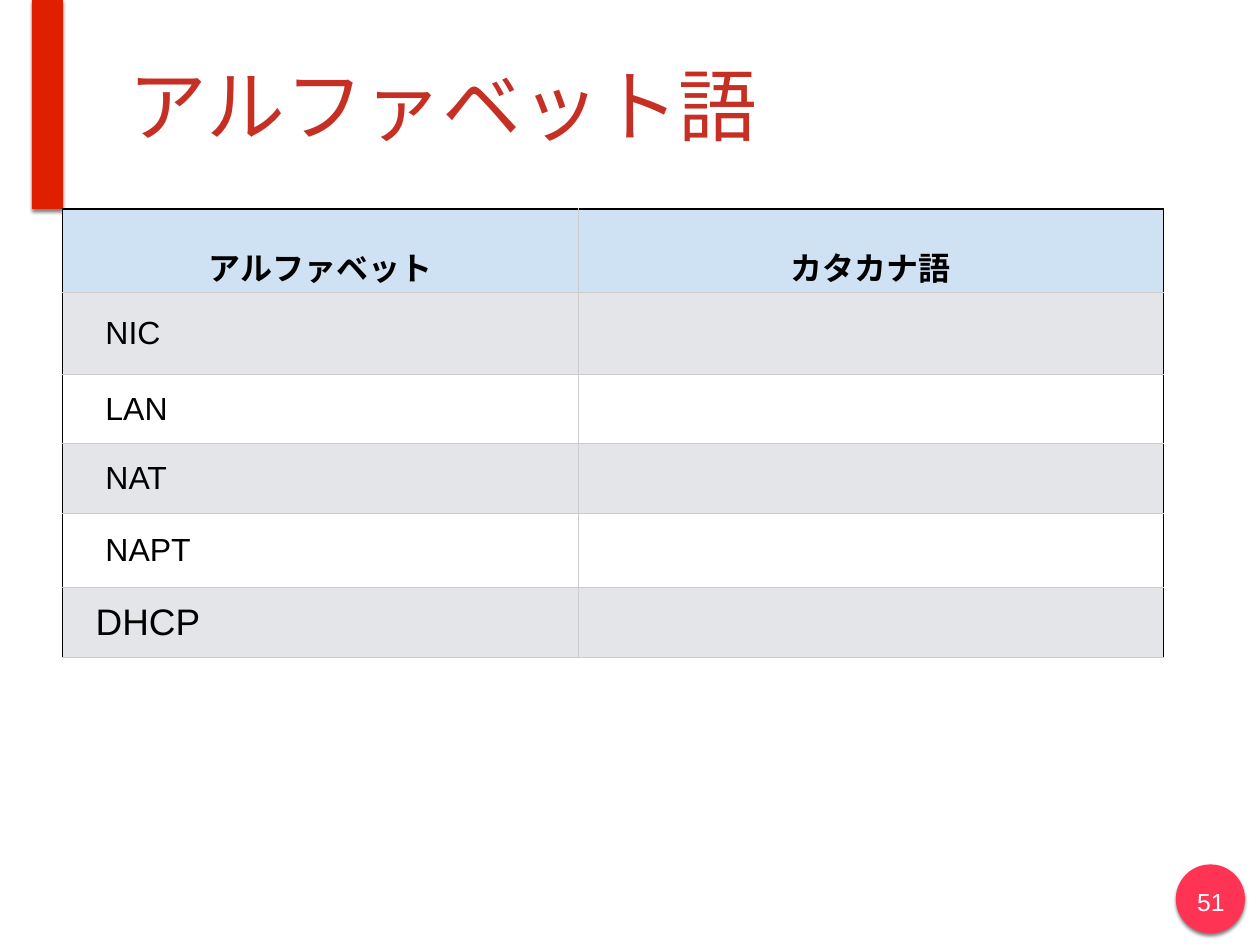
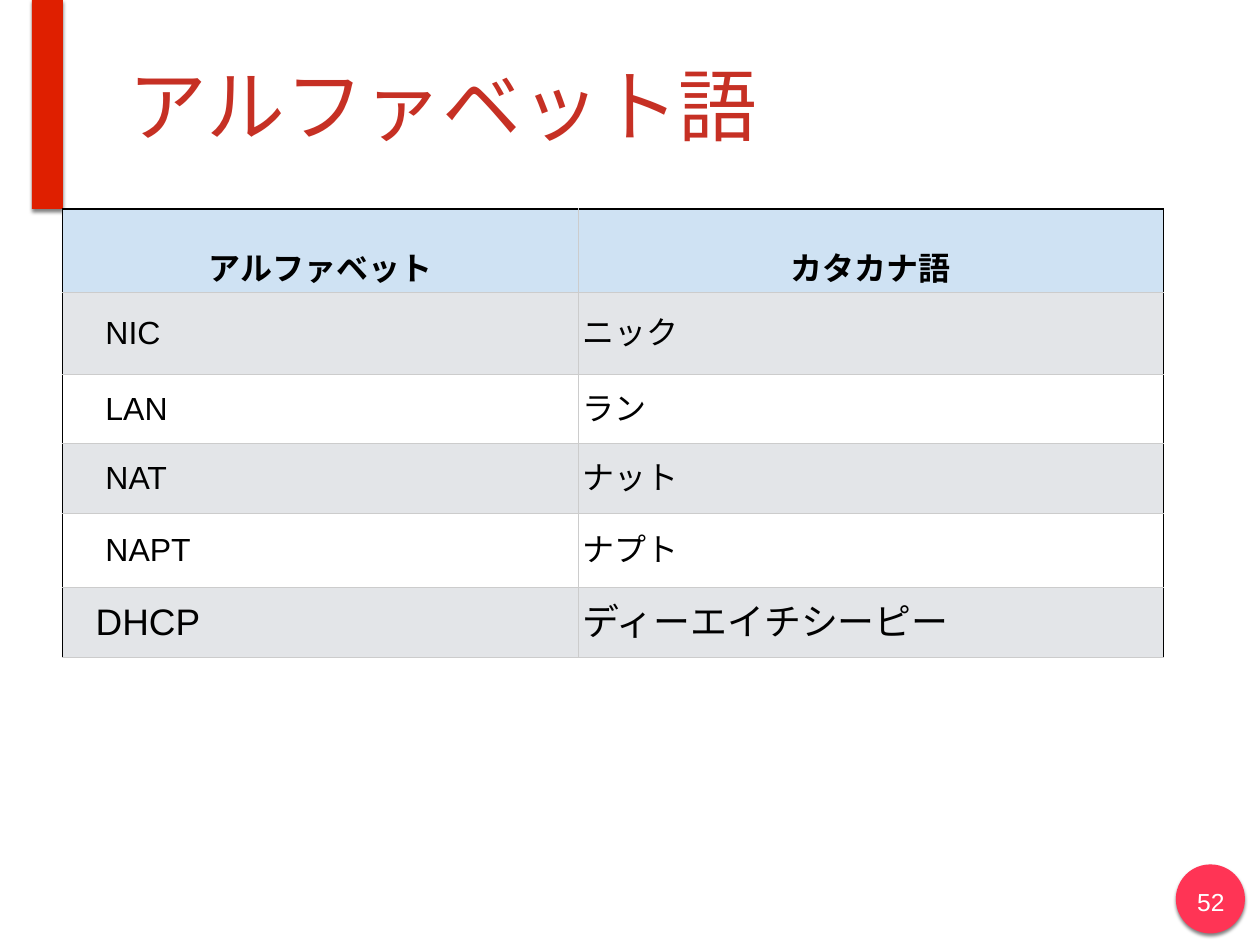
"""Build two vocabulary slides on network terms: a question and its answers."""
from typing import Any, NamedTuple

import lxml.etree
import pptx
import pptx.dml.color
import pptx.enum.lang
import pptx.enum.shapes
import pptx.enum.text
import pptx.oxml
import pptx.oxml.ns
import pptx.util

Inches = pptx.util.Inches
Pt = pptx.util.Pt
Shape = pptx.enum.shapes.MSO_SHAPE
Align = pptx.enum.text.PP_ALIGN
Anchor = pptx.enum.text.MSO_ANCHOR
AutoSize = pptx.enum.text.MSO_AUTO_SIZE
qn = pptx.oxml.ns.qn

FONT = "Arial"
RED, PINK, TITLE_RED = "DF1F00", "FF3455", "C63024"
BLACK, WHITE = "000000", "FFFFFF"
HEADER_FILL, BAND_FILL, RULE = "CFE2F3", "E3E5E8", "CCCCCC"

TITLE = "アルファベット語"
HEADERS = ("アルファベット", "カタカナ語")
COL_WIDTHS = (5.83, 6.6)
ROW_HEIGHTS = (0.71, 0.92, 0.78, 0.79, 0.84, 0.79)
CELL_MARGIN = 0.04


class Decoration(NamedTuple):
    """A filled shape that every slide shows."""
    shape: Any
    box: tuple[float, float, float, float]
    fill: str


class Term(NamedTuple):
    """An abbreviation, how it is read, and its text format."""
    name: str
    reading: str
    size: int = 26
    indent: float = 0.45


DECORATIONS = (
    Decoration(Shape.OVAL, (13.27, 9.76, 0.78, 0.78), PINK),
    Decoration(Shape.RECTANGLE, (0.36, 0, 0.35, 2.36), RED),
)
TERMS = (
    Term("NIC", "ニック"),
    Term("LAN", "ラン"),
    Term("NAT", "ナット"),
    Term("NAPT", "ナプト"),
    Term("DHCP", "ディーエイチシーピー", 30, 0.34),
)


def rgb(color: str) -> pptx.dml.color.RGBColor:
    """Turn a hex string into a colour."""
    return pptx.dml.color.RGBColor.from_string(color)


def set_attrs(target: Any, values: dict[str, Any]) -> None:
    """Set every attribute named in a dict."""
    for name, value in values.items():
        setattr(target, name, value)


def set_fill(target: Any, color: str) -> None:
    """Give a shape or cell a solid fill."""
    target.fill.solid()
    target.fill.fore_color.rgb = rgb(color)


def write(tf: Any, text: str, size: float, color: str, bold: bool = False,
          align: Any = Align.LEFT, spacing: float = 1.0) -> None:
    """Write one formatted paragraph into a text frame."""
    p = tf.paragraphs[0]
    set_attrs(p, {"alignment": align, "line_spacing": spacing})
    r = p.add_run()
    r.text = text
    set_attrs(r.font, {"size": Pt(size), "bold": bold, "name": FONT,
                       "language_id": pptx.enum.lang.MSO_LANGUAGE_ID.JAPANESE})
    r.font.color.rgb = rgb(color)
    latin = r._r.find(".//" + qn("a:latin"))
    ea = lxml.etree.Element(qn("a:ea"), typeface=FONT)
    latin.addnext(ea)


def set_frame(tf: Any, anchor: Any, auto_size: Any) -> None:
    """Give a text frame the common margins and wrapping."""
    sides = ("left", "right", "top", "bottom")
    set_attrs(tf, {f"margin_{side}": Inches(0.06) for side in sides})
    set_attrs(tf, {"word_wrap": True, "vertical_anchor": anchor,
                   "auto_size": auto_size})


def add_shadow(sp: Any) -> None:
    """Add a soft shadow below a shape."""
    sp.shadow.inherit = False
    effects = sp.element.spPr.find(qn("a:effectLst"))
    effects.append(pptx.oxml.parse_xml(
        f'<a:outerShdw {pptx.oxml.ns.nsdecls("a")} blurRad="{Pt(3)}" '
        f'dist="{Pt(2)}" dir="5400000" algn="ctr" rotWithShape="0">'
        f'<a:srgbClr val="{BLACK}"><a:alpha val="50000"/></a:srgbClr>'
        '</a:outerShdw>'))


def decorate(layout: Any, s: Any) -> None:
    """Draw the shared shapes and move them to the layout."""
    for item in DECORATIONS:
        sp = s.shapes.add_shape(item.shape, *map(Inches, item.box))
        set_fill(sp, item.fill)
        sp.line.fill.background()
        add_shadow(sp)
        layout.shapes.element.append(sp.element)


def set_borders(cell: Any, colors: dict[str, str]) -> None:
    """Draw the four borders of a cell."""
    tc_pr = cell._tc.get_or_add_tcPr()
    for i, (side, color) in enumerate(colors.items()):
        tc_pr.insert(i, pptx.oxml.parse_xml(
            f'<a:ln{side} {pptx.oxml.ns.nsdecls("a")} w="{Pt(1)}">'
            f'<a:solidFill><a:srgbClr val="{color}"/></a:solidFill>'
            f'</a:ln{side}>'))


def add_terms_table(s: Any, answered: bool) -> None:
    """Add the table of terms, with or without the readings."""
    tbl = s.shapes.add_table(
        len(ROW_HEIGHTS), len(COL_WIDTHS), Inches(0.7), Inches(2.36),
        Inches(sum(COL_WIDTHS)), Inches(sum(ROW_HEIGHTS))).table
    set_attrs(tbl, {"first_row": False, "horz_banding": False})
    for col, width in zip(tbl.columns, COL_WIDTHS):
        col.width = Inches(width)
    for i, (row, height) in enumerate(zip(tbl.rows, ROW_HEIGHTS)):
        row.height = Inches(height)
        for j, cell in enumerate(row.cells):
            set_attrs(cell, {
                "margin_left": Inches(CELL_MARGIN),
                "margin_right": Inches(CELL_MARGIN),
                "margin_top": Inches(0.03), "margin_bottom": Inches(0.03),
                "vertical_anchor": Anchor.MIDDLE})
            set_fill(cell, HEADER_FILL if i == 0 else (WHITE, BAND_FILL)[i % 2])
            set_borders(cell, {"L": RULE if j else BLACK,
                               "R": BLACK if j else RULE,
                               "T": RULE if i else BLACK, "B": RULE})
            if i == 0:
                write(cell.text_frame, HEADERS[j], 26, BLACK, True,
                      Align.CENTER, 2.05)
                continue
            term = TERMS[i - 1]
            if j == 0:
                cell.margin_left = Inches(CELL_MARGIN + term.indent)
                write(cell.text_frame, term.name, term.size, BLACK)
            elif answered:
                write(cell.text_frame, term.reading, term.size, BLACK)


def add_terms_slide(prs: Any, layout: Any, number: int, answered: bool) -> Any:
    """Add a slide with title, page number and table."""
    s = prs.slides.add_slide(layout)
    title = s.shapes.title
    set_attrs(title, {"left": Inches(1.39), "top": Inches(0.12),
                      "width": Inches(12.14), "height": Inches(2.12)})
    set_frame(title.text_frame, Anchor.MIDDLE, AutoSize.NONE)
    write(title.text_frame, TITLE, 64, TITLE_RED)
    page = s.shapes.add_textbox(*map(Inches, (13.42, 9.95, 0.49, 0.45)))
    set_frame(page.text_frame, Anchor.TOP, AutoSize.SHAPE_TO_FIT_TEXT)
    write(page.text_frame, str(number), 20, WHITE, align=Align.CENTER)
    add_terms_table(s, answered)
    return s


def main() -> None:
    """Build and save the presentation."""
    prs = pptx.Presentation()
    set_attrs(prs, {"slide_width": Inches(14.22),
                    "slide_height": Inches(10.67)})
    layout = prs.slide_layouts.get_by_name("Title Only")
    question = add_terms_slide(prs, layout, 51, False)
    decorate(layout, question)
    add_terms_slide(prs, layout, 52, True)
    prs.save("out.pptx")


if __name__ == "__main__":
    main()
